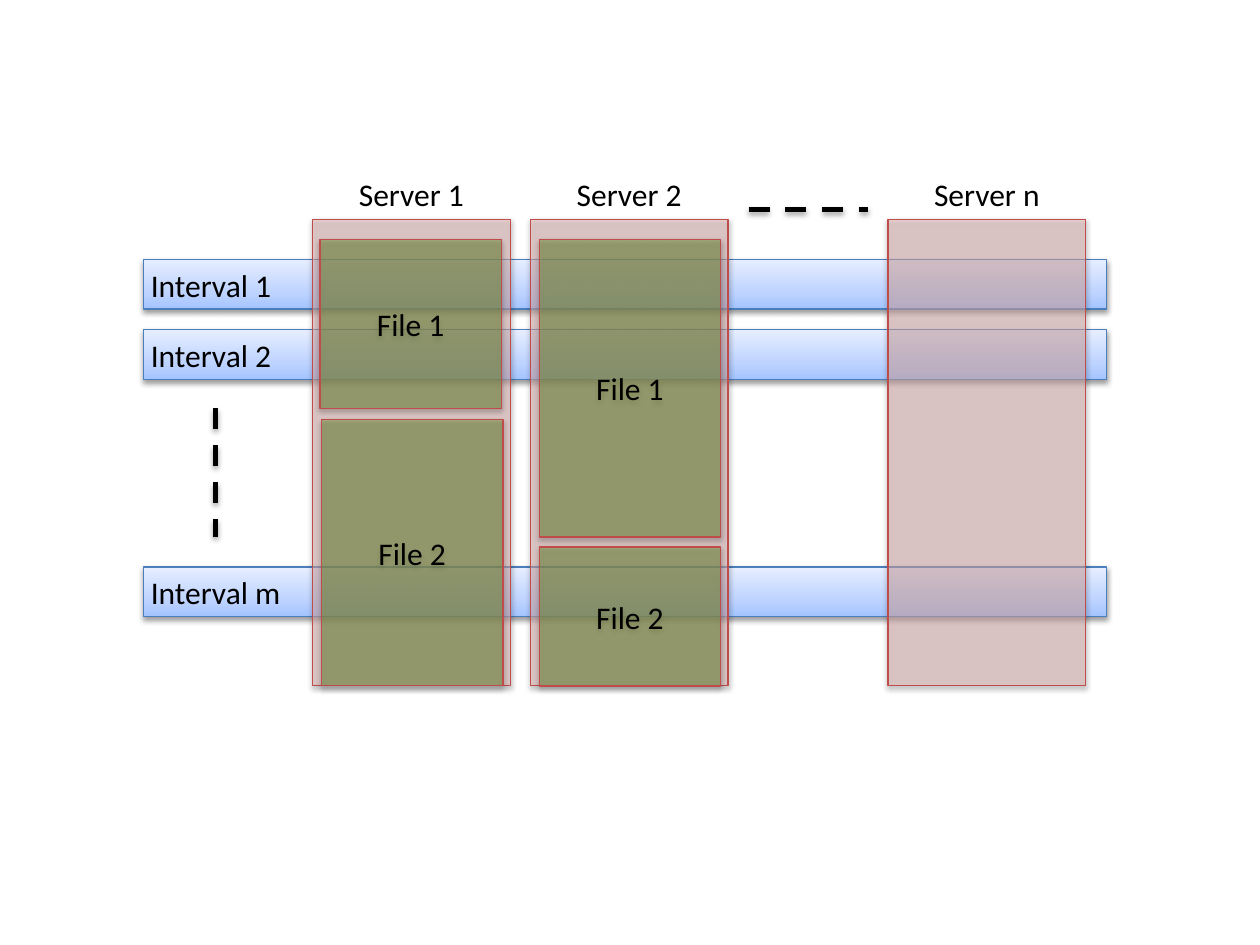
from lxml import etree
from pptx import Presentation
from pptx.dml.color import RGBColor
from pptx.enum.dml import MSO_LINE
from pptx.enum.shapes import MSO_CONNECTOR, MSO_SHAPE
from pptx.enum.text import MSO_ANCHOR, MSO_AUTO_SIZE, PP_ALIGN
from pptx.oxml.ns import qn
from pptx.util import Cm, Pt

RECT, STRAIGHT = MSO_SHAPE.RECTANGLE, MSO_CONNECTOR.STRAIGHT
DASH, MIDDLE = MSO_LINE.DASH, MSO_ANCHOR.MIDDLE
LEFT, CENTER = PP_ALIGN.LEFT, PP_ALIGN.CENTER
FIT, NO_FIT = MSO_AUTO_SIZE.SHAPE_TO_FIT_TEXT, MSO_AUTO_SIZE.NONE

BLACK, BLUE, RED = "000000", "4B7EBC", "BF4C48"
PINK, GREEN = "E6B9B8", "77933C"
BLUE_STOPS = [(0, "A4C4FF"), (35, "BFD4FF"), (100, "E6EEFF")]
FONT = {"name": "Calibri", "size": Pt(18)}

# Positions in cm
BAR_LEFT, BAR_W, BAR_H = 2.9, 19.41, 1
SERVER_TOP, SERVER_W, SERVER_H = 4.42, 3.99, 9.4
LABEL_H, INTERVAL_LABEL_W, FILE_W = 1.02, 3.4, 3.66
INTERVALS = [("Interval m", 11.43), ("Interval 1", 5.23), ("Interval 2", 6.65)]
SERVERS = [("Server 1", 6.3), ("Server 2", 10.69), ("Server n", 17.9)]
FILES = [("File 1", 6.45, 4.83, 3.4), ("File 2", 6.48, 8.46, 5.36),
         ("File 1", 10.87, 4.83, 6), ("File 2", 10.87, 11.03, 2.8)]
GAPS = [(4.34, 8.23, 4.34, 10.82), (15.09, 4.22, 17.5, 4.22)]


def rgb(value):
    return RGBColor.from_string(value)


def sub(parent, tag, **attrs):
    return etree.SubElement(parent, qn(tag), attrs)


def add_shadow(effects, alpha, dist):
    shadow = sub(effects, "a:outerShdw", blurRad=str(Pt(3.1)), dist=str(Pt(dist)),
                 dir="5400000", rotWithShape="0")
    color = sub(shadow, "a:srgbClr", val=BLACK)
    sub(color, "a:alpha", val=str(alpha * 1000))


def fill_gradient(sp, stops):
    sp.fill.gradient()
    sp.fill.gradient_angle = 90
    stop_list = next(sp._element.spPr.iter(qn("a:gsLst")))
    for old in list(stop_list):
        stop_list.remove(old)
    for pos, color in stops:
        sub(sub(stop_list, "a:gs", pos=str(pos * 1000)), "a:srgbClr", val=color)


def fill_half(sp, color):
    sp.fill.solid()
    sp.fill.fore_color.rgb = rgb(color)
    clr = sp._element.spPr.find(qn("a:solidFill")).find(qn("a:srgbClr"))
    sub(clr, "a:alpha", val="50000")


def write(sp, text, align, frame):
    tf = sp.text_frame
    tf.word_wrap = True
    for key, value in frame.items():
        setattr(tf, key, value)
    p = tf.paragraphs[0]
    p.alignment = align
    r = p.add_run()
    r.text = text
    for key, value in FONT.items():
        setattr(r.font, key, value)
    r.font.color.rgb = rgb(BLACK)


def add_box(slide, box, line):
    sp = slide.shapes.add_shape(RECT, *map(Cm, box))
    sp.line.color.rgb = rgb(line)
    sp.line.width = Pt(0.75)
    sp.shadow.inherit = False
    add_shadow(sp._element.spPr.find(qn("a:effectLst")), 38, 1.6)
    return sp


def add_label(slide, text, box, align):
    sp = slide.shapes.add_textbox(*map(Cm, box))
    write(sp, text, align, {"auto_size": FIT})


def add_dashes(slide, ends):
    line = slide.shapes.add_connector(STRAIGHT, *map(Cm, ends))
    line.line.color.rgb = rgb(BLACK)
    line.line.width = Pt(3)
    line.line.dash_style = DASH
    add_shadow(sub(line._element.spPr, "a:effectLst"), 35, 1.8)


def main():
    prs = Presentation()
    prs.slide_width, prs.slide_height = Cm(25.4), Cm(19.05)
    slide = prs.slides.add_slide(prs.slide_layouts[6])

    # Interval bars behind the server columns
    for _, top in INTERVALS:
        fill_gradient(add_box(slide, (BAR_LEFT, top, BAR_W, BAR_H), BLUE), BLUE_STOPS)
    for _, left in SERVERS:
        fill_half(add_box(slide, (left, SERVER_TOP, SERVER_W, SERVER_H), RED), PINK)

    # Labels
    for text, left in SERVERS:
        add_label(slide, text, (left, SERVER_TOP - LABEL_H, SERVER_W, LABEL_H), CENTER)
    for text, top in INTERVALS:
        add_label(slide, text, (BAR_LEFT - 0.11, top, INTERVAL_LABEL_W, LABEL_H), LEFT)

    # Dashes for the omitted intervals and servers
    for ends in GAPS:
        add_dashes(slide, ends)

    # Files stored on the servers
    for text, left, top, height in FILES:
        sp = add_box(slide, (left, top, FILE_W, height), RED)
        fill_half(sp, GREEN)
        write(sp, text, CENTER, {"vertical_anchor": MIDDLE, "auto_size": NO_FIT})

    prs.save("out.pptx")


main()
